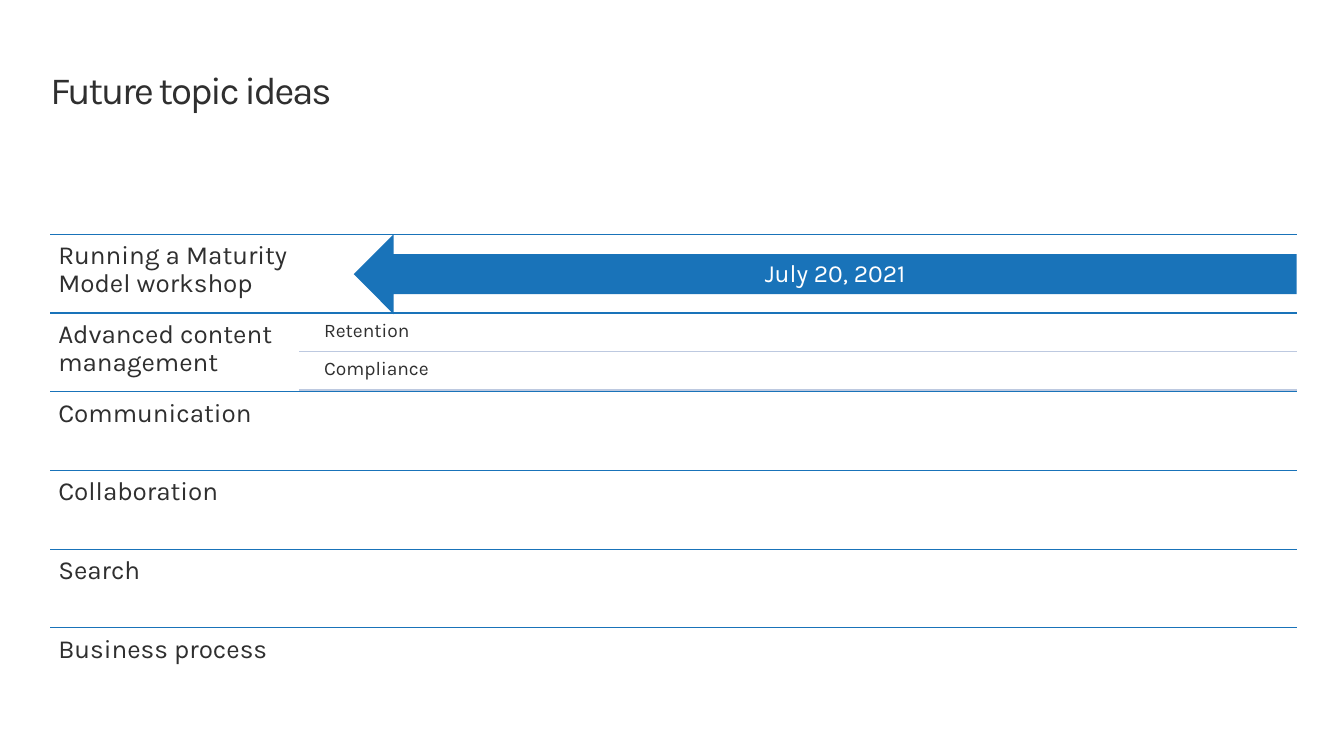
from dataclasses import dataclass

from lxml import etree
from pptx import Presentation
from pptx.dml.color import RGBColor
from pptx.enum.shapes import MSO_CONNECTOR, MSO_SHAPE
from pptx.enum.text import MSO_ANCHOR, PP_ALIGN
from pptx.oxml.ns import qn
from pptx.util import Inches, Pt

STRAIGHT = MSO_CONNECTOR.STRAIGHT
ARROW = MSO_SHAPE.LEFT_ARROW
TOP, MIDDLE = MSO_ANCHOR.TOP, MSO_ANCHOR.MIDDLE
LEFT, CENTER = PP_ALIGN.LEFT, PP_ALIGN.CENTER


@dataclass(frozen=True)
class Theme:
    font: str = "Karla"
    ink: str = "2F2F2F"
    blue: str = "1973B9"
    pale: str = "BDC9E0"
    white: str = "FFFFFF"
    title: int = 28
    topic: int = 19
    date: int = 18
    detail: int = 14
    rule: float = 0.85


class Board:
    def __init__(self, slide, theme):
        self.slide = slide
        self.theme = theme

    def words(self, shape, text, size, color, pad, leading=0.9,
              align=LEFT, anchor=TOP, track=None):
        frame = shape.text_frame
        frame.word_wrap = True
        frame.vertical_anchor = anchor
        side, edge = pad
        frame.margin_left = frame.margin_right = Inches(side)
        frame.margin_top = frame.margin_bottom = Inches(edge)
        para = frame.paragraphs[0]
        para.alignment = align
        para.line_spacing = leading
        run = para.add_run()
        run.text = text
        run.font.name = self.theme.font
        run.font.size = Pt(size)
        run.font.color.rgb = RGBColor.from_string(color)
        if track is not None:
            run.font._element.set("spc", str(int(track * 100)))

    def label(self, box, text, size, pad, **style):
        shape = self.slide.shapes.add_textbox(*map(Inches, box))
        self.words(shape, text, size, self.theme.ink, pad, **style)

    def rule(self, left, right, y, color):
        ends = map(Inches, (left, y, right, y))
        line = self.slide.shapes.add_connector(STRAIGHT, *ends)
        line.line.color.rgb = RGBColor.from_string(color)
        line.line.width = Pt(self.theme.rule)
        etree.SubElement(line._element.spPr, qn("a:effectLst"))

    def arrow(self, box, text):
        shape = self.slide.shapes.add_shape(ARROW, *map(Inches, box))
        shape.shadow.inherit = False
        shape.fill.solid()
        shape.fill.fore_color.rgb = RGBColor.from_string(self.theme.blue)
        shape.line.fill.background()
        self.words(shape, text, self.theme.date, self.theme.white, (0.2, 0),
                   align=CENTER, anchor=MIDDLE)


def main():
    deck = Presentation()
    deck.slide_width, deck.slide_height = Inches(13.6), Inches(7.65)
    theme = Theme()
    board = Board(deck.slides.add_slide(deck.slide_layouts[6]), theme)

    # Title
    board.label((0.51, 0.69, 12.61, 0.45), "Future topic ideas", theme.title,
                (0, 0), leading=Pt(32), track=-1.5)

    # Topic rows, each with its details
    left, right, top, bottom = 0.51, 13.12, 2.37, 7.15
    width = 2.52
    topics = [
        ("Running a Maturity Model workshop", []),
        ("Advanced content management", ["Retention", "Compliance"]),
        ("Communication", []),
        ("Collaboration", []),
        ("Search", []),
        ("Business process", []),
    ]
    pitch = (bottom - top) / len(topics)
    for row, (topic, details) in enumerate(topics):
        y = top + row * pitch
        board.rule(left, right, y, theme.blue)
        board.label((left, y, width, pitch), topic, theme.topic, (0.08, 0.08))
        for step, detail in enumerate(details):
            start = y + 0.02 + step * 0.39
            board.label((3.22, start, 9.9, 0.37), detail, theme.detail,
                        (0.06, 0.06))
            board.rule(left + width, right, start + 0.37, theme.pale)

    # Date arrow over the first row
    board.arrow((3.58, top, 9.54, 0.81), "July 20, 2021")

    deck.save("out.pptx")


if __name__ == "__main__":
    main()
